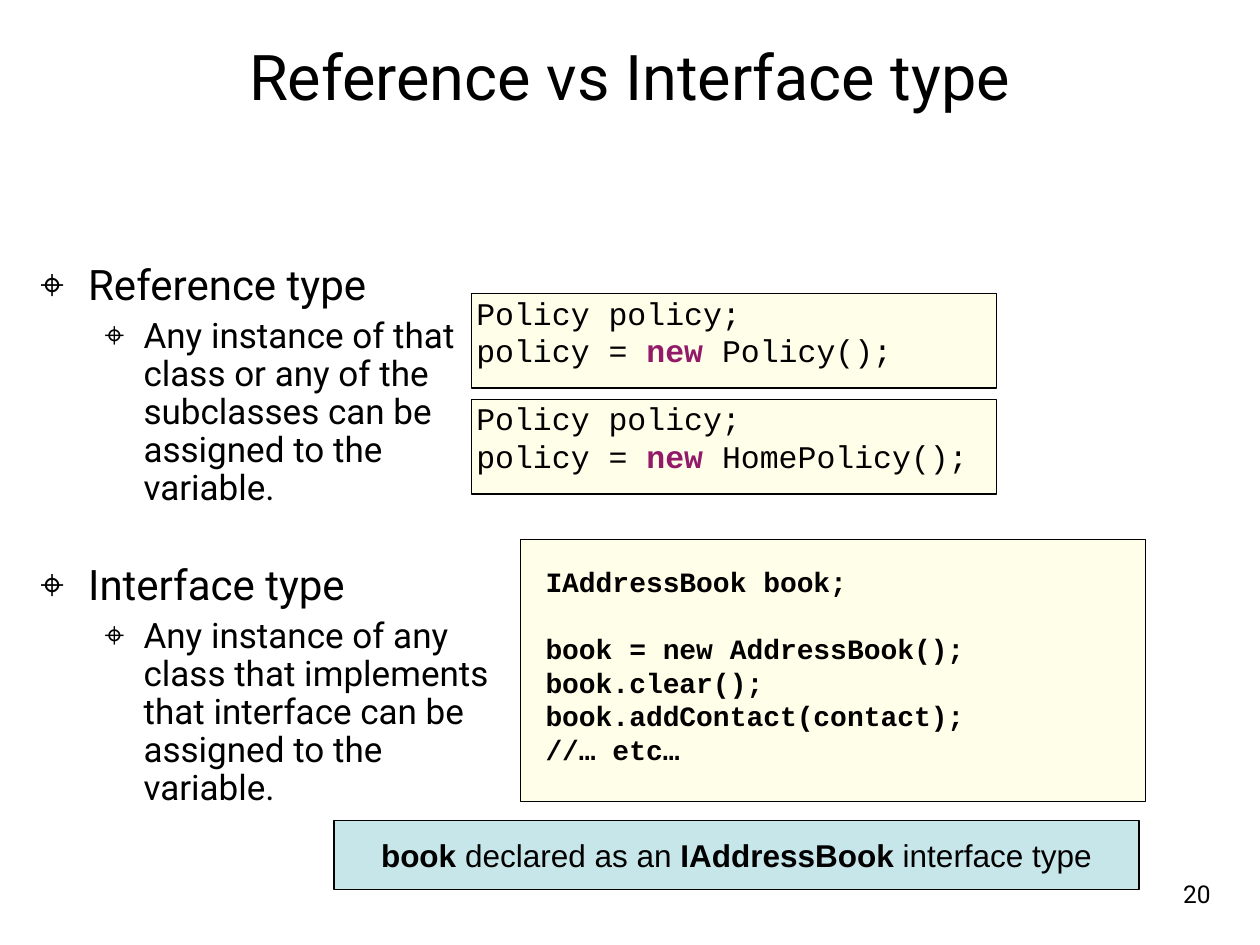
from dataclasses import dataclass

from lxml import etree
from pptx import Presentation
from pptx.dml.color import RGBColor
from pptx.enum import shapes, text
from pptx.oxml.ns import qn
from pptx.util import Inches, Pt


@dataclass(frozen=True)
class Theme:
    """Hold the colours, fonts and type sizes of the slide."""
    ink: str = "000000"
    key: str = "931A68"
    cream: str = "FFFED5"
    aqua: str = "C6E6E9"
    sans: str = "Roboto"
    mono: str = "Courier New"
    label: str = "Arial"
    title: int = 36
    head: int = 24
    item: int = 20
    code: int = 18
    small: int = 16
    page: int = 14


T = Theme()
HEAD = (T.head, 0.42, 0.38, 32.6)
ITEM = (T.item, 0.86, 0.31, 5)
POINTS = [
    ("Reference type", HEAD),
    ("Any instance of that class or any of the subclasses "
     "can be assigned to the variable.", ITEM),
    ("Interface type", HEAD),
    ("Any instance of any class that implements that interface "
     "can be assigned to the variable.", ITEM),
]
CALLS = ["book = new AddressBook();", "book.clear();",
         "book.addContact(contact);", "//… etc…"]


def style(run, size, face, bold=False, color=T.ink):
    """Format one run."""
    font = run.font
    font.size, font.name, font.bold = Pt(size), face, bold
    font.color.rgb = RGBColor.from_string(color)


def setup(frame, pad=(0, 0, 0, 0), anchor=text.MSO_ANCHOR.TOP, wrap=True):
    """Set the margins, given as left, top, right and bottom, and the anchor."""
    frame.word_wrap, frame.vertical_anchor = wrap, anchor
    (frame.margin_left, frame.margin_top,
     frame.margin_right, frame.margin_bottom) = map(Inches, pad)


def line(slide, box, words, size, pad=0, wrap=True):
    """Place one centred line of text in the box."""
    frame = slide.shapes.add_textbox(*map(Inches, box)).text_frame
    setup(frame, (pad,) * 4, text.MSO_ANCHOR.MIDDLE, wrap)
    frame.text = words
    para = frame.paragraphs[0]
    para.alignment = text.PP_ALIGN.CENTER
    style(para.runs[0], size, T.sans)


def mark(para, left, hang):
    """Give the paragraph a hanging bullet in the text font."""
    props = para._p.get_or_add_pPr()
    props.set("marL", str(Inches(left)))
    props.set("indent", str(-Inches(hang)))
    color = etree.SubElement(props, qn("a:buClr"))
    etree.SubElement(color, qn("a:srgbClr")).set("val", T.ink)
    etree.SubElement(props, qn("a:buFont")).set("typeface", T.sans)
    etree.SubElement(props, qn("a:buChar")).set("char", "⌖")


def bullets(slide, box, points):
    """Place the two-level bullet list in the box."""
    frame = slide.shapes.add_textbox(*map(Inches, box)).text_frame
    setup(frame)
    frame.text = "\n".join(words for words, _ in points)
    for row, (para, (_, kind)) in enumerate(zip(frame.paragraphs, points)):
        size, left, hang, gap = kind
        mark(para, left, hang)
        para.level = int(kind is ITEM)
        para.line_spacing = 0.9
        if row:
            para.space_before = Pt(gap)
        style(para.runs[0], size, T.sans)


def panel(slide, box, fill, alpha=100):
    """Draw a thinly outlined rectangle and return it."""
    rect = slide.shapes.add_shape(shapes.MSO_SHAPE.RECTANGLE, *map(Inches, box))
    rect.shadow.inherit = False
    rect.fill.solid()
    rect.fill.fore_color.rgb = RGBColor.from_string(fill)
    color = rect.fill._xPr.find(".//" + qn("a:srgbClr"))
    etree.SubElement(color, qn("a:alpha")).set("val", str(alpha * 1000))
    rect.line.color.rgb = RGBColor.from_string(T.ink)
    rect.line.width = Pt(0.75)
    return rect


def code(slide, box, rows, size, pad, bold=False):
    """Place a code panel whose rows are left aligned."""
    frame = panel(slide, box, T.cream, 50).text_frame
    setup(frame, (*pad, 0, 0))
    frame.text = "\n".join(rows)
    for para in frame.paragraphs:
        para.alignment = text.PP_ALIGN.LEFT
        para.line_spacing = Pt(size * 1.2)
        style(para.runs[0], size, T.mono, bold)
    return frame.paragraphs


def policy(slide, box, name):
    """Place a two-row code panel that creates the named class."""
    rows = ["Policy policy;", "policy = "]
    last = code(slide, box, rows, T.code, (0.04, 0))[-1]
    for words, bold, color in (("new ", True, T.key), (f"{name}();", False, T.ink)):
        run = last.add_run()
        run.text = words
        style(run, T.code, T.mono, bold, color)


def book(slide, box):
    """Place the address book code with a gap after its first row."""
    rows = ["IAddressBook book;", *CALLS]
    paras = code(slide, box, rows, T.small, (0.2, 0.2), True)
    paras[1].space_before = Pt(T.small * 1.2)


def note(slide, box):
    """Place the caption with its type names in bold."""
    frame = panel(slide, box, T.aqua).text_frame
    setup(frame, (0.06,) * 4, text.MSO_ANCHOR.MIDDLE)
    para = frame.paragraphs[0]
    para.alignment = text.PP_ALIGN.CENTER
    parts = ["book", " declared as an ", "IAddressBook", " interface type"]
    for spot, words in enumerate(parts):
        run = para.add_run()
        run.text = words
        style(run, T.code, T.label, spot % 2 == 0)


def main():
    """Build the slide and save it."""
    deck = Presentation()
    deck.slide_width, deck.slide_height = Inches(10), Inches(7.5)
    slide = deck.slides.add_slide(deck.slide_layouts[6])
    line(slide, (0.5, 0, 9, 1.19), "Reference vs Interface type", T.title, 0.06)
    bullets(slide, (0.28, 2.1, 3.83, 4.64), POINTS)
    book(slide, (4.13, 4.28, 4.96, 2.08))
    note(slide, (2.65, 6.51, 6.39, 0.55))
    for row, name in enumerate(("Policy", "HomePolicy")):
        policy(slide, (3.74, 2.33 + row * 0.84, 4.17, 0.75), name)
    line(slide, (9.33, 6.97, 0.34, 0.24), "20", T.page, wrap=False)
    deck.save("out.pptx")


if __name__ == "__main__":
    main()
